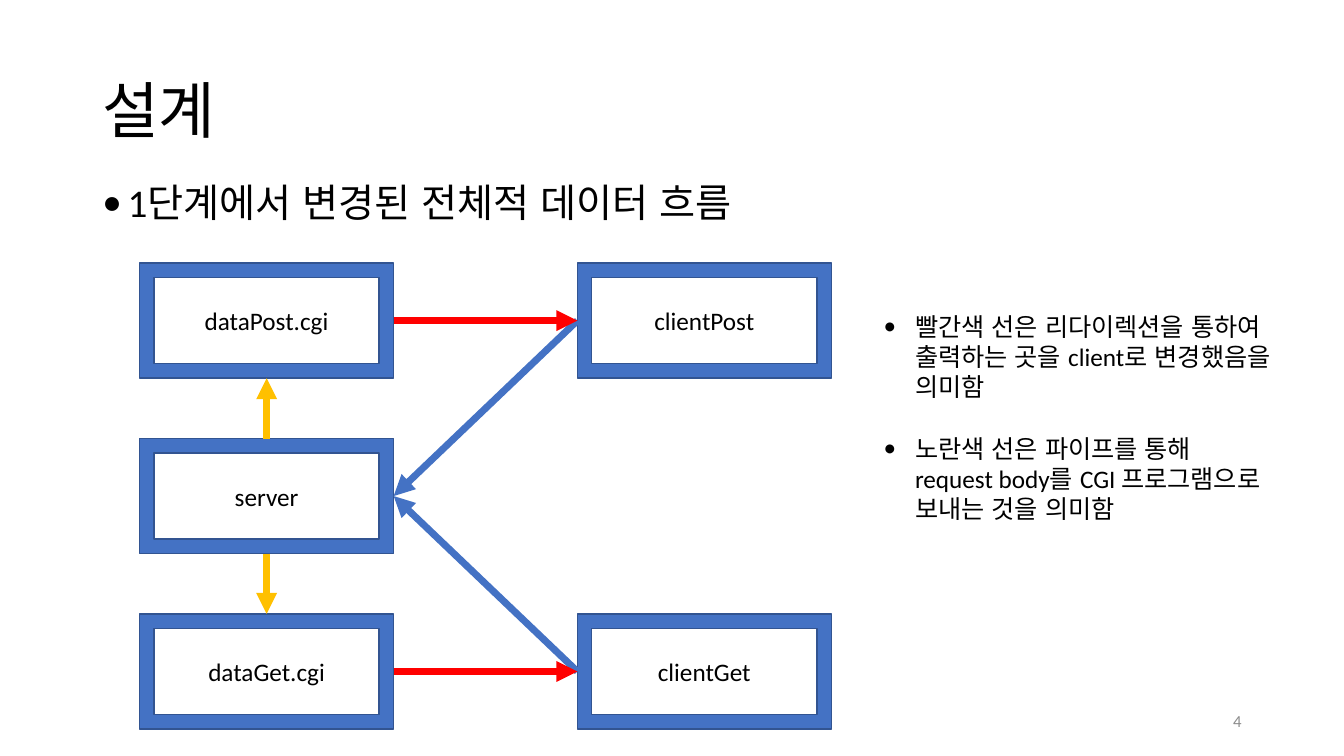
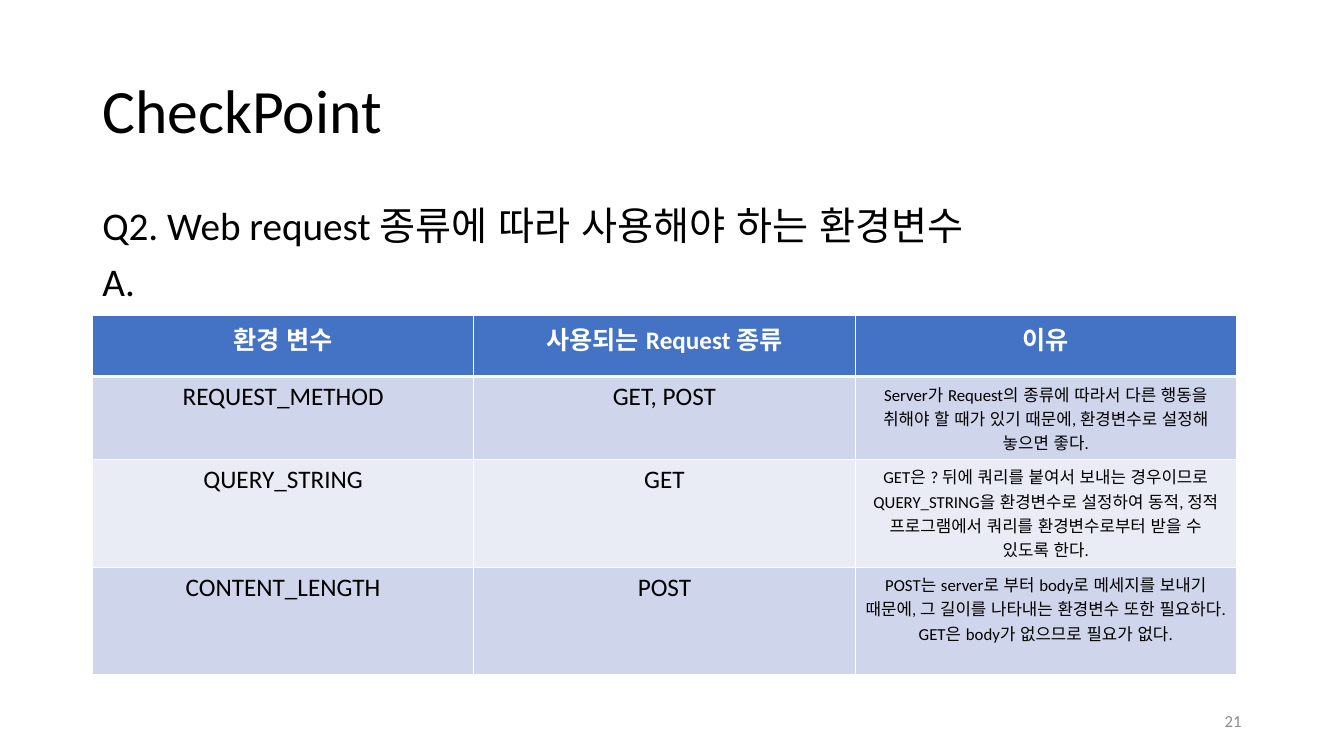
from dataclasses import dataclass
from typing import Optional

from lxml import etree
from pptx import Presentation
from pptx import util as u
from pptx.dml.color import RGBColor
from pptx.enum import lang, shapes, text
from pptx.oxml import ns

BLACK = RGBColor(0x00, 0x00, 0x00)
WHITE = RGBColor(0xFF, 0xFF, 0xFF)
GREY = RGBColor(0x8C, 0x8C, 0x8C)
BLUE = RGBColor(0x44, 0x72, 0xC4)
DARK_BLUE = RGBColor(0x32, 0x54, 0x91)
YELLOW = RGBColor(0xFF, 0xC0, 0x00)
RED = RGBColor(0xFF, 0x00, 0x00)
BAND_DARK = RGBColor(0xCF, 0xD5, 0xEA)
BAND_LIGHT = RGBColor(0xE9, 0xEB, 0xF5)

FONT = "Calibri"
LEFT, CONTENT_WIDTH = 2.33, 29.21
NODE_WIDTH, NODE_HEIGHT = 6.4, 2.9
NODE_LEFT, NODE_TOP = 3.52, 6.63
COLUMN_STEP, ROW_STEP = 11.03, 4.42
ROW_HEIGHTS = (1.55, 2.08, 2.72, 2.72)
TOP, LEFT_SIDE, BOTTOM, RIGHT_SIDE = range(4)


@dataclass(frozen=True)
class Style:
    size: int
    color: RGBColor = BLACK
    bold: bool = False
    align: text.PP_ALIGN = text.PP_ALIGN.LEFT
    spacing: float = 1.0


@dataclass(frozen=True)
class Paragraph:
    lines: tuple[str, ...]
    before: int = 0
    bullet_indent: Optional[float] = None


@dataclass(frozen=True)
class Area:
    left: float
    top: float
    width: float
    height: float


@dataclass(frozen=True)
class Node:
    name: str
    column: int
    row: int


@dataclass(frozen=True)
class Flow:
    source: str
    source_side: int
    target: str
    target_side: int
    color: RGBColor


CENTER = text.PP_ALIGN.CENTER
TITLE = Style(44, spacing=0.9)
BODY = Style(28, spacing=0.9)
NOTE = Style(18)
LABEL = Style(18, align=CENTER)
HEADER = Style(18, WHITE, True, CENTER)
REASON = Style(12, align=CENTER)
NUMBER = Style(12, GREY, align=text.PP_ALIGN.RIGHT)

TITLE_AREA = Area(LEFT, 1.02, CONTENT_WIDTH, 3.68)
NUMBER_AREA = Area(23.92, 17.66, 7.62, 1.02)
NOTE_AREA = Area(22.02, 7.72, 11.4, 5.64)

NODES = (
    Node("dataPost.cgi", 0, 0),
    Node("dataGet.cgi", 0, 2),
    Node("server", 0, 1),
    Node("clientPost", 1, 0),
    Node("clientGet", 1, 2),
)
FLOWS = (
    Flow("clientPost", LEFT_SIDE, "server", RIGHT_SIDE, BLUE),
    Flow("clientGet", LEFT_SIDE, "server", RIGHT_SIDE, BLUE),
    Flow("server", TOP, "dataPost.cgi", BOTTOM, YELLOW),
    Flow("server", BOTTOM, "dataGet.cgi", TOP, YELLOW),
    Flow("dataPost.cgi", RIGHT_SIDE, "clientPost", LEFT_SIDE, RED),
    Flow("dataGet.cgi", RIGHT_SIDE, "clientGet", LEFT_SIDE, RED),
)
NOTES = (
    Paragraph(
        ("빨간색 선은 리다이렉션을 통하여", "출력하는 곳을 client로 변경했음을", "의미함"),
        bullet_indent=0.79,
    ),
    Paragraph(
        ("노란색 선은 파이프를 통해", "request body를 CGI 프로그램으로", "보내는 것을 의미함"),
        before=22,
        bullet_indent=0.79,
    ),
)
TABLE_ROWS = (
    (("환경 변수",), ("사용되는 Request 종류",), ("이유",)),
    (
        ("REQUEST_METHOD",),
        ("GET, POST",),
        ("Server가 Request의 종류에 따라서 다른 행동을 취해야 할 때가 있기 때문에, 환경변수로 설정해 놓으면 좋다.",),
    ),
    (
        ("QUERY_STRING",),
        ("GET",),
        ("GET은 ? 뒤에 쿼리를 붙여서 보내는 경우이므로 QUERY_STRING을 환경변수로 설정하여 동적, 정적 프로그램에서 쿼리를 환경변수로부터 받을 수 있도록 한다.",),
    ),
    (
        ("CONTENT_LENGTH",),
        ("POST",),
        (
            "POST는 server로 부터 body로 메세지를 보내기 때문에, 그 길이를 나타내는 환경변수 또한 필요하다.",
            "GET은 body가 없으므로 필요가 없다.",
        ),
    ),
)


def add_bullet(para, indent: float) -> None:
    properties = para._p.get_or_add_pPr()
    properties.set("marL", str(u.Cm(indent)))
    properties.set("indent", str(-u.Cm(indent)))
    etree.SubElement(properties, ns.qn("a:buFont"), typeface=FONT)
    etree.SubElement(properties, ns.qn("a:buChar"), char="•")


def write(frame, paragraphs: tuple[Paragraph, ...], style: Style) -> None:
    for index, paragraph in enumerate(paragraphs):
        para = frame.add_paragraph() if index else frame.paragraphs[0]
        para.alignment = style.align
        para.line_spacing = style.spacing
        para.space_before = u.Pt(paragraph.before)
        if paragraph.bullet_indent is not None:
            add_bullet(para, paragraph.bullet_indent)
        for number, line in enumerate(paragraph.lines):
            if number:
                para.add_line_break()
            span = para.add_run()
            span.text = line
            span.font.name = FONT
            span.font.size = u.Pt(style.size)
            span.font.bold = style.bold
            span.font.color.rgb = style.color
            span.font.language_id = lang.MSO_LANGUAGE_ID.KOREAN


def add_text(page, area: Area, paragraphs: tuple[Paragraph, ...], style: Style,
             anchor: text.MSO_ANCHOR = text.MSO_ANCHOR.TOP) -> None:
    box = page.shapes.add_textbox(
        u.Cm(area.left), u.Cm(area.top), u.Cm(area.width), u.Cm(area.height))
    box.text_frame.word_wrap = True
    box.text_frame.vertical_anchor = anchor
    write(box.text_frame, paragraphs, style)


def add_page(deck, title: str, number: int, body_top: float,
             body: tuple[Paragraph, ...]):
    page = deck.slides.add_slide(deck.slide_layouts[6])
    middle = text.MSO_ANCHOR.MIDDLE
    add_text(page, TITLE_AREA, (Paragraph((title,)),), TITLE, middle)
    add_text(page, Area(LEFT, body_top, CONTENT_WIDTH, 12.09), body, BODY)
    add_text(page, NUMBER_AREA, (Paragraph((str(number),)),), NUMBER, middle)
    return page


def add_node(page, node: Node):
    box = page.shapes.add_shape(
        shapes.MSO_SHAPE.FRAME,
        u.Cm(NODE_LEFT + node.column * COLUMN_STEP),
        u.Cm(NODE_TOP + node.row * ROW_STEP),
        u.Cm(NODE_WIDTH), u.Cm(NODE_HEIGHT))
    box.shadow.inherit = False
    box.fill.solid()
    box.fill.fore_color.rgb = BLUE
    box.line.color.rgb = DARK_BLUE
    box.line.width = u.Pt(1)
    box.text_frame.vertical_anchor = text.MSO_ANCHOR.MIDDLE
    write(box.text_frame, (Paragraph((node.name,)),), LABEL)
    return box


def add_flow(page, flow: Flow, boxes: dict) -> None:
    arrow = page.shapes.add_connector(shapes.MSO_CONNECTOR.STRAIGHT, 0, 0, 0, 0)
    arrow.begin_connect(boxes[flow.source], flow.source_side)
    arrow.end_connect(boxes[flow.target], flow.target_side)
    arrow.line.color.rgb = flow.color
    arrow.line.width = u.Pt(5)
    etree.SubElement(arrow.line._get_or_add_ln(), ns.qn("a:tailEnd"), type="triangle")
    etree.SubElement(arrow._element.spPr, ns.qn("a:effectLst"))


def add_borders(cell, top: int, bottom: int) -> None:
    properties = cell._tc.get_or_add_tcPr()
    for side, width in (("L", 1), ("R", 1), ("T", top), ("B", bottom)):
        line = etree.SubElement(properties, ns.qn(f"a:ln{side}"), w=str(u.Pt(width)))
        fill = etree.SubElement(line, ns.qn("a:solidFill"))
        etree.SubElement(fill, ns.qn("a:srgbClr"), val=str(WHITE))


def add_variable_table(page) -> None:
    rows, columns = len(TABLE_ROWS), len(TABLE_ROWS[0])
    column_width = u.Cm(9.61)
    table = page.shapes.add_table(
        rows, columns, u.Cm(LEFT), u.Cm(7.94),
        column_width * columns, u.Cm(sum(ROW_HEIGHTS))).table
    for column in table.columns:
        column.width = column_width
    for row_index, (row, height) in enumerate(zip(TABLE_ROWS, ROW_HEIGHTS)):
        table.rows[row_index].height = u.Cm(height)
        for column_index, lines in enumerate(row):
            cell = table.cell(row_index, column_index)
            add_borders(cell, 3 if row_index == 1 else 1, 3 if row_index == 0 else 1)
            cell.fill.solid()
            if row_index == 0:
                color, style = BLUE, HEADER
            else:
                color = BAND_DARK if row_index % 2 else BAND_LIGHT
                style = REASON if column_index == columns - 1 else LABEL
            cell.fill.fore_color.rgb = color
            write(cell.text_frame, tuple(Paragraph((line,)) for line in lines), style)


def build_design(deck) -> None:
    page = add_page(deck, "설계", 4, 4.5, (
        Paragraph(("1단계에서 변경된 전체적 데이터 흐름",), 10, 0.64),))
    boxes = {node.name: add_node(page, node) for node in NODES}
    for flow in FLOWS:
        add_flow(page, flow, boxes)
    add_text(page, NOTE_AREA, NOTES, NOTE)


def build_checkpoint(deck) -> None:
    page = add_page(deck, "CheckPoint", 21, 5.08, (
        Paragraph(("Q2. Web request 종류에 따라 사용해야 하는 환경변수",), 10),
        Paragraph(("A.",), 10)))
    add_variable_table(page)


def main() -> None:
    deck = Presentation()
    deck.slide_width, deck.slide_height = u.Cm(33.87), u.Cm(19.05)
    build_design(deck)
    build_checkpoint(deck)
    deck.save("out.pptx")


if __name__ == "__main__":
    main()
